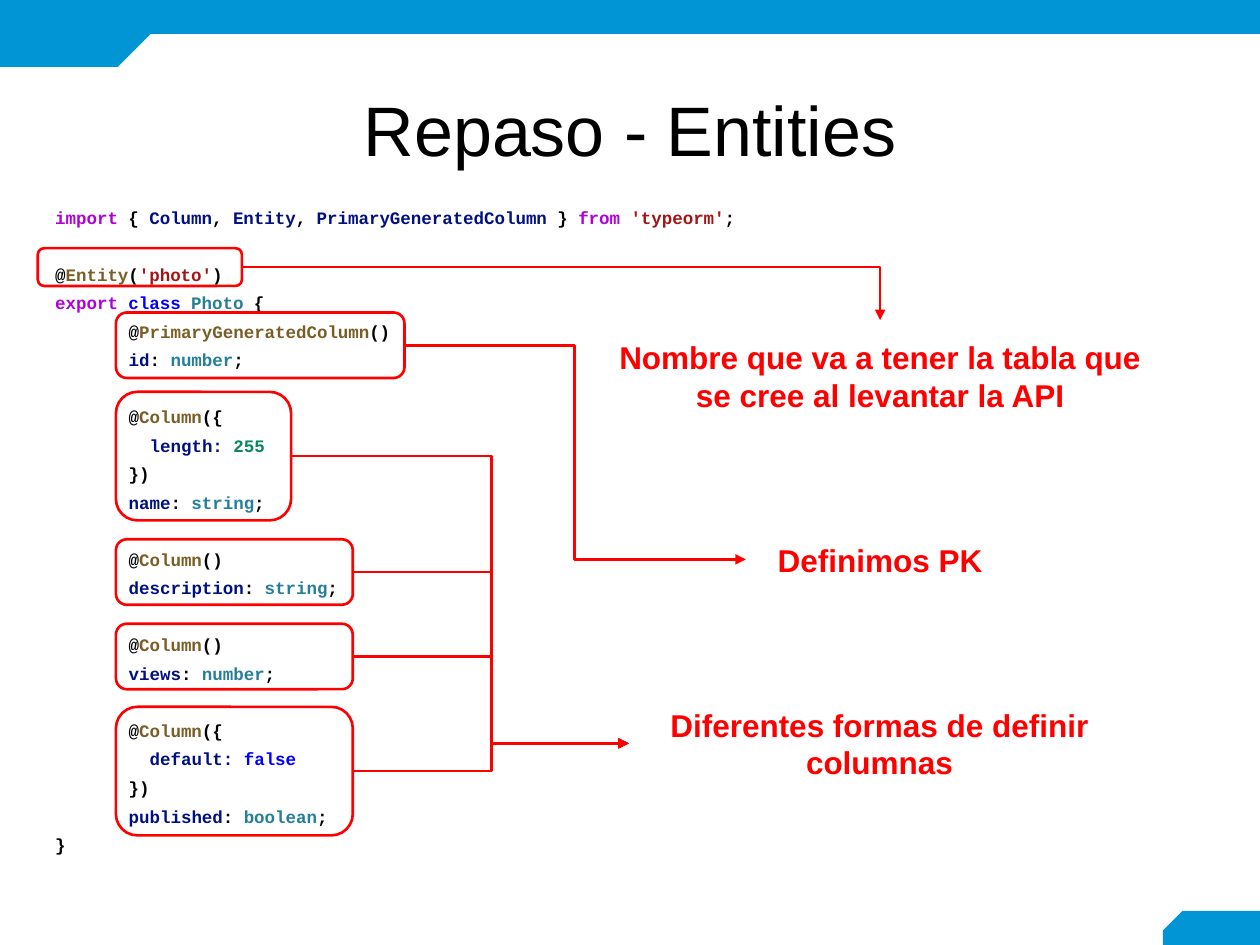
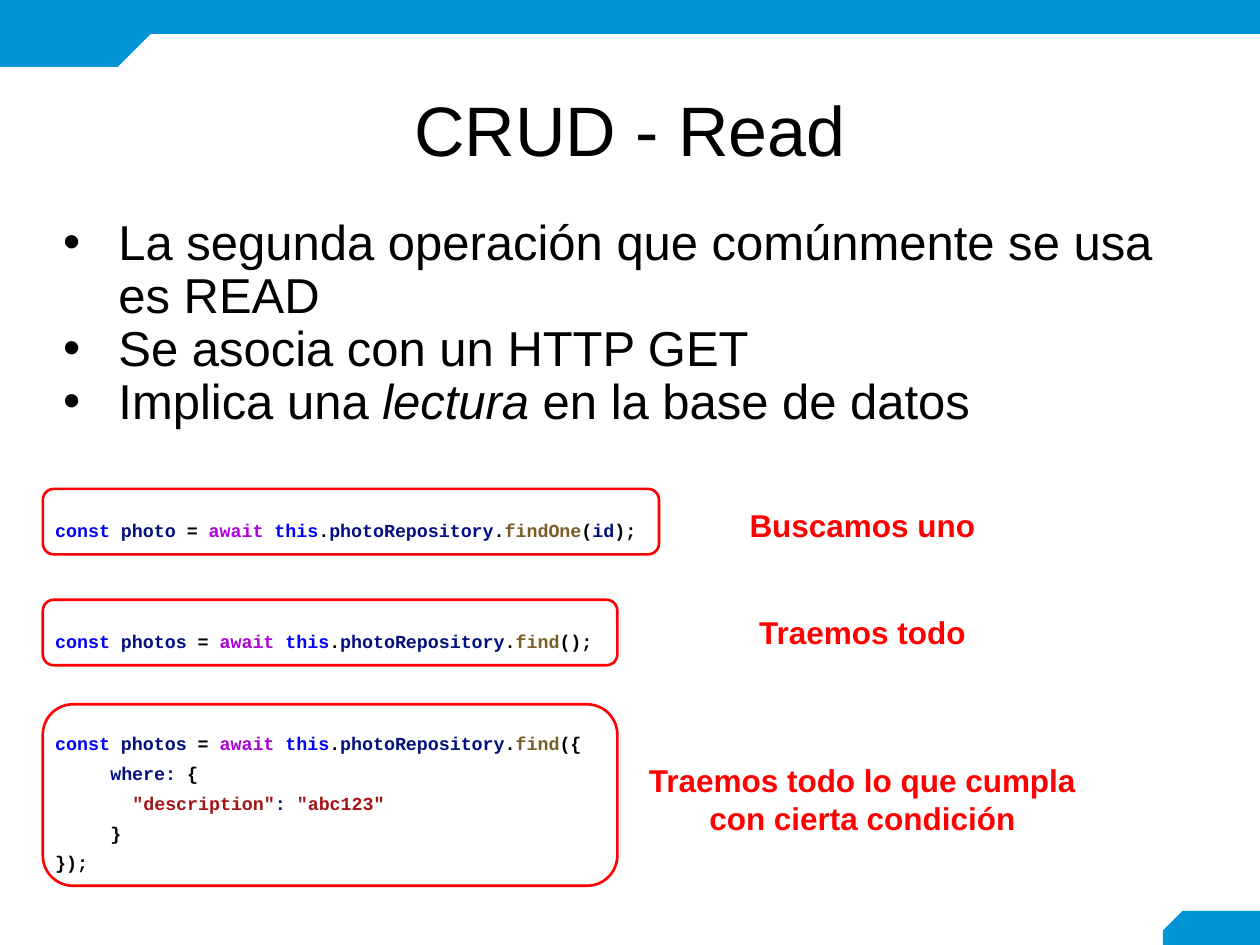
"""Build two slides on entities and read operations with annotated code."""
from dataclasses import dataclass, field

from lxml import etree
from pptx import Presentation
from pptx import util as u
from pptx.dml.color import RGBColor
from pptx.enum import shapes, text
from pptx.oxml import ns


@dataclass
class Theme:
    band: str = "0195D6"
    accent: str = "FF0000"
    ink: str = "000000"
    sans: str = "Arial"
    mono: str = "Courier New"
    title: float = 40
    body: float = 28
    label: float = 18
    line: float = 1.5
    leading: float = 1.36
    code: dict = field(default_factory=lambda: {
        "key": "AF00DB", "word": "0000FF", "var": "001080", "fn": "795E26",
        "type": "267F99", "str": "A31515", "num": "09885A", "-": "000000"})


T = Theme()

BANDS = [
    ("SNIP_1_RECTANGLE", (9.23, 7.23, 0.77, 0.31), 0),
    ("RECTANGLE", (1.12, 0, 8.88, 0.27), 0),
    ("SNIP_1_RECTANGLE", (0, 0, 1.2, 0.53), 180),
]
TITLE_AT = (0.34, 0.65, 9.32, 0.83)

ENTITY_CODE = [
    (0, "key~import|-~ { |var~Column|-~, |var~Entity|-~, |var~PrimaryGeneratedColumn"
        "|-~ } |key~from|-~ |str~'typeorm'|-~;"),
    None,
    (0, "-~@|fn~Entity|-~(|str~'photo'|-~)"),
    (0, "key~export|-~ |word~class|-~ |type~Photo|-~ {"),
    (7, "-~@|fn~PrimaryGeneratedColumn|-~()"),
    (7, "var~id|-~: |type~number|-~;"),
    None,
    (7, "-~@|fn~Column|-~({"),
    (9, "var~length:|-~ |num~255"),
    (7, "-~})"),
    (7, "var~name|-~: |type~string|-~;"),
    None,
    (7, "-~@|fn~Column|-~()"),
    (7, "var~description|-~: |type~string|-~;"),
    None,
    (7, "-~@|fn~Column|-~()"),
    (7, "var~views|-~: |type~number|-~;"),
    None,
    (7, "-~@|fn~Column|-~({"),
    (9, "var~default:|-~ |word~false"),
    (7, "-~})"),
    (7, "var~published|-~: |type~boolean|-~;"),
    (0, "-~}"),
]
ENTITY_BOXES = {
    "entity": (0.3, 1.97, 1.62, 0.3),
    "id": (0.92, 2.48, 2.29, 0.52),
    "name": (0.92, 3.11, 1.39, 1.02),
    "description": (0.92, 4.28, 1.88, 0.52),
    "views": (0.92, 4.95, 1.88, 0.52),
    "published": (0.92, 5.61, 1.88, 1.02),
}
ENTITY_LABELS = {
    "table": ("Nombre que va a tener la tabla que se cree al levantar la API",
              (4.8, 2.54, 4.37, 0.88)),
    "key": ("Definimos PK", (5.92, 4.19, 2.13, 0.5)),
    "columns": ("Diferentes formas de definir columnas", (4.99, 5.46, 3.98, 0.88)),
}
COLUMN_BUS = 3.9
ENTITY_LINKS = [("entity", "table", None), ("id", "key", 4.56)] + [
    (name, "columns", COLUMN_BUS)
    for name in ("name", "description", "views", "published")]

READ_POINTS = [
    [("La segunda operación que comúnmente se usa es READ", False)],
    [("Se asocia con un HTTP GET", False)],
    [("Implica una ", False), ("lectura", True), (" en la base de datos", False)],
]
FIND = "-~ = |key~await|-~ |word~this|-~.|var~photoRepository|-~.|fn~find"
READ_BLOCKS = [
    {"code": [(0, "word~const|-~ |var~photo|" + FIND + "One|-~(|var~id|-~);")],
     "code_at": (0.34, 3.82, 5.44, 0.71), "box": (0.34, 3.88, 4.89, 0.52),
     "label": "Buscamos uno", "label_at": (5.36, 3.87, 2.97, 0.59)},
    {"code": [(0, "word~const|-~ |var~photos|" + FIND + "|-~();")],
     "code_at": (0.34, 4.7, 5.44, 0.71), "box": (0.34, 4.76, 4.56, 0.52),
     "label": "Traemos todo", "label_at": (5.36, 4.72, 2.97, 0.59)},
    {"code": [(0, "word~const|-~ |var~photos|" + FIND + "|-~({"),
              (5, "var~where:|-~ {"),
              (7, "str~\"description\"|var~:|-~ |str~\"abc123\""),
              (5, "-~}"),
              (0, "-~});")],
     "code_at": (0.34, 5.65, 4.67, 1.38), "box": (0.34, 5.59, 4.56, 1.44),
     "label": "Traemos todo lo que cumpla con cierta condición",
     "label_at": (5.01, 6.01, 3.67, 0.66)},
]


def inches(at):
    return [u.Inches(v) for v in at]


def style(r, size, color, name=T.sans, bold=False, italic=False):
    r.font.size, r.font.name = u.Pt(size), name
    r.font.bold, r.font.italic = bold, italic
    r.font.color.rgb = RGBColor.from_string(color)


def indent(p, left, first=0):
    pPr = p._p.get_or_add_pPr()
    pPr.set("marL", str(u.Inches(left)))
    pPr.set("indent", str(u.Inches(first)))


def place(sp, at):
    sp.left, sp.top, sp.width, sp.height = inches(at)


def add_bands(prs, s):
    tree = prs.slide_master.element.cSld.spTree
    for number, (kind, at, turn) in enumerate(BANDS, 20):
        sp = s.shapes.add_shape(shapes.MSO_SHAPE[kind], *inches(at))
        sp.shadow.inherit = False
        sp.fill.solid()
        sp.fill.fore_color.rgb = RGBColor.from_string(T.band)
        sp.line.fill.background()
        sp.rotation = turn
        if kind.startswith("SNIP"):
            sp.adjustments[0] = 0.5
            sp.element.spPr.xfrm.set("flipH", "1")
        sp.element.nvSpPr.cNvPr.set("id", str(number))
        tree.append(sp.element)


def add_slide(prs, layout, title):
    s = prs.slides.add_slide(prs.slide_layouts[layout])
    sp = s.shapes.title
    place(sp, TITLE_AT)
    tf = sp.text_frame
    tf.text = title
    tf.auto_size = text.MSO_AUTO_SIZE.NONE
    tf.vertical_anchor = text.MSO_ANCHOR.MIDDLE
    p = tf.paragraphs[0]
    p.alignment, p.line_spacing = text.PP_ALIGN.CENTER, 0.9
    style(p.runs[0], T.title, T.ink)
    return s


def add_text(s, at, anchor):
    sp = s.shapes.add_textbox(*inches(at))
    tf = sp.text_frame
    tf.word_wrap, tf.vertical_anchor = True, anchor
    tf.margin_left = tf.margin_right = tf.margin_top = tf.margin_bottom = u.Inches(0.1)
    return sp


def add_code(s, lines, at, size, anchor):
    tf = add_text(s, at, anchor).text_frame
    p, gap = tf.paragraphs[0], 0
    for line in lines:
        if line is None:
            gap = 1.62 * size
            continue
        columns, markup = line
        p = tf.add_paragraph() if p.runs else p
        p.line_spacing, p.space_before = T.leading, u.Pt(gap)
        indent(p, columns * 0.6 * size / 72)
        for token in markup.split("|"):
            kind, words = token.split("~")
            r = p.add_run()
            r.text = words
            style(r, size, T.code[kind], T.mono, bold=True)
        gap = 0


def add_label(s, words, at):
    sp = add_text(s, at, text.MSO_ANCHOR.MIDDLE)
    p = sp.text_frame.paragraphs[0]
    p.text, p.alignment = words, text.PP_ALIGN.CENTER
    style(p.runs[0], T.label, T.accent, bold=True)
    return sp


def outline(sp):
    sp.line.color.rgb = RGBColor.from_string(T.accent)
    sp.line.width = u.Pt(T.line)


def add_box(s, at):
    sp = s.shapes.add_shape(shapes.MSO_SHAPE.ROUNDED_RECTANGLE, *inches(at))
    sp.shadow.inherit = False
    sp.fill.background()
    outline(sp)
    return sp


def add_link(s, box, label, bend):
    cx = s.shapes.add_connector(shapes.MSO_CONNECTOR.ELBOW, 0, 0, 0, 0)
    cx.begin_connect(box, 3)
    cx.end_connect(label, 0 if bend is None else 1)
    outline(cx)
    spPr = cx.element.spPr
    geom = spPr.find(ns.qn("a:prstGeom"))
    if bend is None:
        geom.set("prst", "bentConnector2")
    else:
        share = (u.Inches(bend) - cx.begin_x) / (cx.end_x - cx.begin_x)
        guide = etree.SubElement(geom.find(ns.qn("a:avLst")), ns.qn("a:gd"))
        guide.set("name", "adj1")
        guide.set("fmla", f"val {round(share * 100000)}")
    tail = etree.SubElement(spPr.find(ns.qn("a:ln")), ns.qn("a:tailEnd"))
    tail.set("type", "triangle")
    etree.SubElement(spPr, ns.qn("a:effectLst"))


def add_points(s, points, at):
    sp = s.placeholders[1]
    place(sp, at)
    tf = sp.text_frame
    tf.auto_size = text.MSO_AUTO_SIZE.NONE
    for i, parts in enumerate(points):
        p = tf.add_paragraph() if i else tf.paragraphs[0]
        p.line_spacing, p.space_before = 0.9, u.Pt(0 if i else 10)
        indent(p, 0.5, -0.44)
        for words, italic in parts:
            r = p.add_run()
            r.text = words
            style(r, T.body, T.ink, italic=italic)


def build_entities(prs):
    s = add_slide(prs, 5, "Repaso - Entities")
    add_bands(prs, s)
    add_code(s, ENTITY_CODE, (0.34, 1.48, 5.84, 5.47), 10, text.MSO_ANCHOR.TOP)
    boxes = {name: add_box(s, at) for name, at in ENTITY_BOXES.items()}
    labels = {name: add_label(s, *item) for name, item in ENTITY_LABELS.items()}
    for box, label, bend in ENTITY_LINKS:
        add_link(s, boxes[box], labels[label], bend)


def build_read(prs):
    s = add_slide(prs, 1, "CRUD - Read")
    add_points(s, READ_POINTS, (0.34, 1.68, 9.32, 4.98))
    for block in READ_BLOCKS:
        add_box(s, block["box"])
        add_code(s, block["code"], block["code_at"], 10.5, text.MSO_ANCHOR.MIDDLE)
        add_label(s, block["label"], block["label_at"])


prs = Presentation()
prs.slide_width, prs.slide_height = u.Inches(10), u.Inches(7.5)
build_entities(prs)
build_read(prs)
prs.save("out.pptx")
